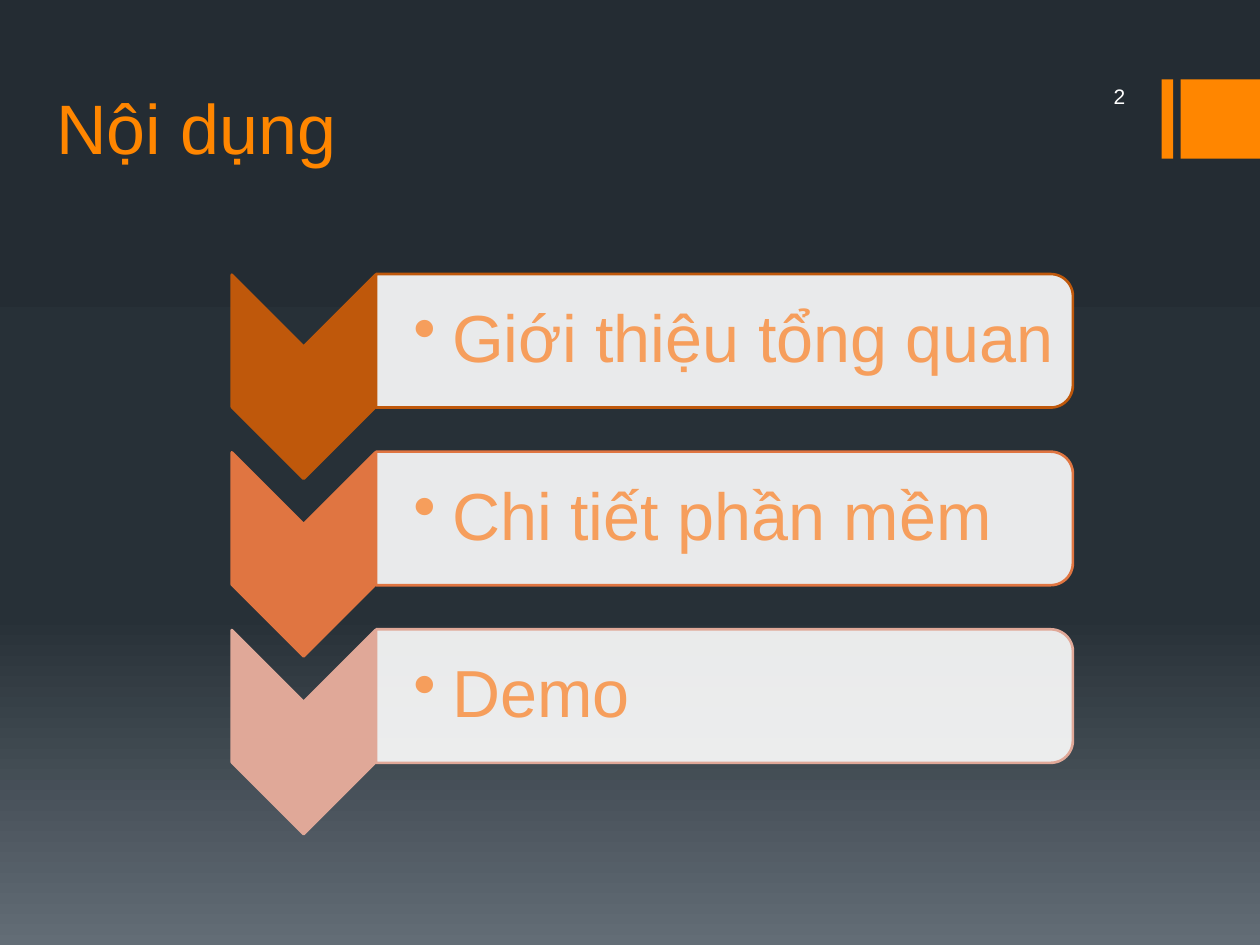
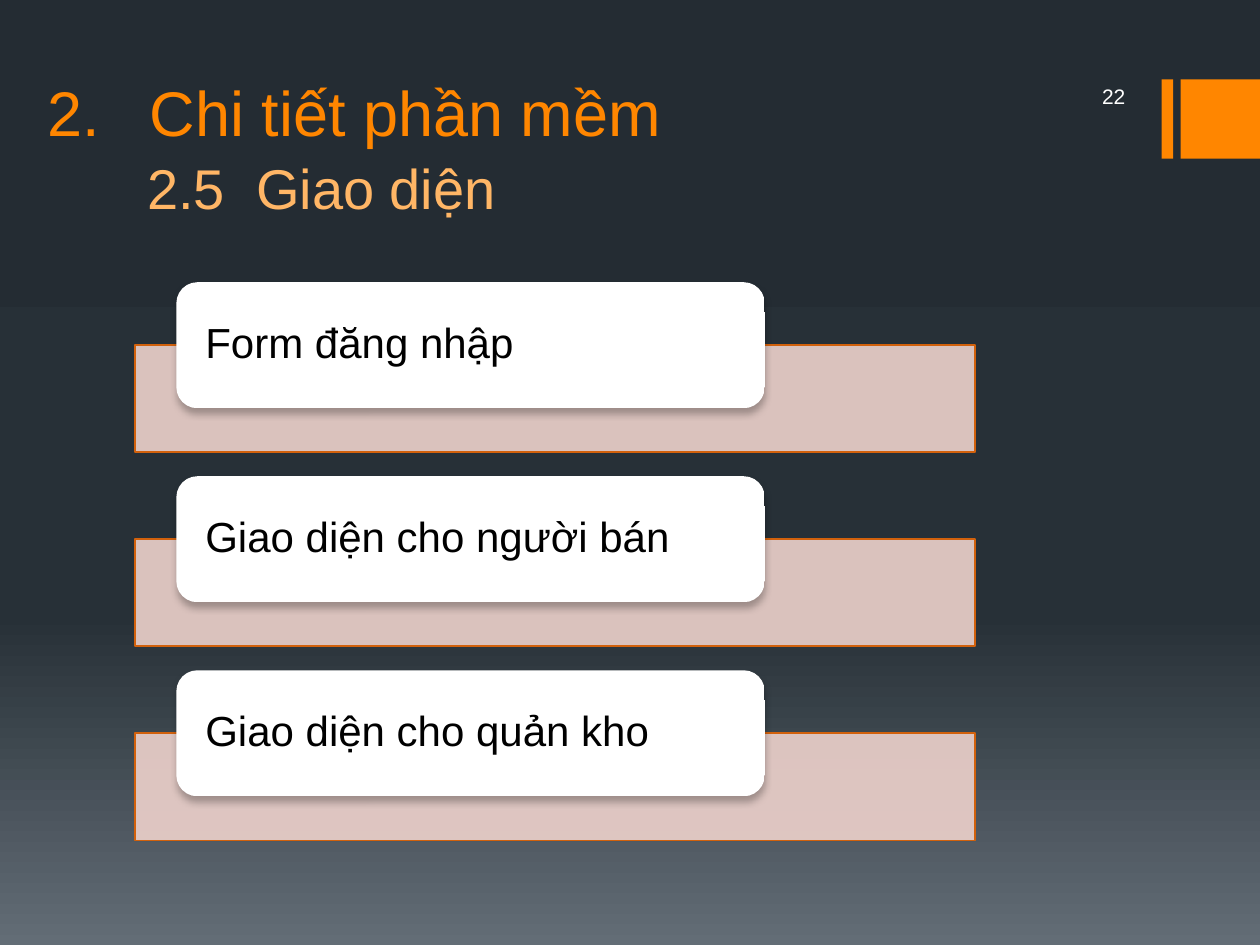
"""Build the contents slide and the interface slide of a software presentation."""
import copy

import pptx
import pptx.dml.color
import pptx.enum.shapes
import pptx.enum.text
import pptx.oxml
import pptx.oxml.ns
import pptx.util
from pptx.util import Inches

COLOURS = {
    "accent": "FF8600", "subtitle": "FFB666", "white": "FFFFFF", "black": "000000",
    "item": "F69E5C", "band": "EED2CC", "band_line": "D2610C", "card_end": "FCFCFC",
    "step_1": "BF580B", "step_2": "E07541", "step_3": "E0A898",
    "sky": "242C33", "horizon": "273037", "ground": "636D76",
}
RGB = {name: pptx.dml.color.RGBColor.from_string(value) for name, value in COLOURS.items()}
NAMESPACE = pptx.oxml.ns.nsdecls("a")
SHAPE = pptx.enum.shapes.MSO_SHAPE
ANCHOR = pptx.enum.text.MSO_ANCHOR
ALIGN = pptx.enum.text.PP_ALIGN


def add_text(slide, box, text, size, colour, anchor=ANCHOR.MIDDLE, align=ALIGN.LEFT,
             insets=(0.1, 0.05, 0.1, 0.05), spacing=1.0, indent=0, bullet=None):
    """Add a one-paragraph text box, with a hanging bullet if one is given."""
    frame = slide.shapes.add_textbox(*map(Inches, box)).text_frame
    frame.word_wrap = True
    frame.vertical_anchor = anchor
    frame.margin_left, frame.margin_top, frame.margin_right, frame.margin_bottom = map(Inches, insets)
    paragraph = frame.paragraphs[0]
    paragraph.text = text
    paragraph.alignment = align
    paragraph.line_spacing = spacing
    font = paragraph.runs[0].font
    font.name = "Arial"
    font.size = pptx.util.Pt(size)
    font.color.rgb = RGB[colour]
    if bullet:
        properties = paragraph._p.get_or_add_pPr()
        properties.set("marL", str(Inches(indent)))
        properties.set("indent", str(-Inches(indent)))
        properties.append(pptx.oxml.parse_xml(bullet))


def add_shape(slide, kind, box, fill, line=None, width=1, opacity=100, rotation=0):
    """Add a flat preset shape; opacity is a percentage."""
    shape = slide.shapes.add_shape(kind, *map(Inches, box))
    shape.shadow.inherit = False
    shape.rotation = rotation
    shape.fill.solid()
    shape.fill.fore_color.rgb = RGB[fill]
    if opacity < 100:
        colour = shape._element.spPr.find(pptx.oxml.ns.qn("a:solidFill"))[0]
        colour.append(pptx.oxml.parse_xml(f'<a:alpha {NAMESPACE} val="{opacity * 1000}"/>'))
    if line:
        shape.line.color.rgb = RGB[line]
        shape.line.width = pptx.util.Pt(width)
    else:
        shape.line.fill.background()
    return shape


deck = pptx.Presentation()
deck.slide_width, deck.slide_height = Inches(10), Inches(7.5)

backdrop = deck.slide_master.background.fill
backdrop.gradient()
backdrop.gradient_angle = 270
stop_list = deck.slide_master._element.find(".//" + pptx.oxml.ns.qn("a:gsLst"))
stop_list.insert(1, copy.deepcopy(stop_list[0]))
for stop, (position, colour) in zip(backdrop.gradient_stops,
                                    [(0, "sky"), (0.65, "horizon"), (1, "ground")]):
    stop.position = position
    stop.color.rgb = RGB[colour]

contents, interface = [deck.slides.add_slide(deck.slide_layouts[6]) for _ in range(2)]
for slide, number in [(contents, "2"), (interface, "22")]:
    for left, width in [(9.22, 0.09), (9.37, 0.63)]:
        add_shape(slide, SHAPE.RECTANGLE, (left, 0.63, width, 0.63), "accent")
    add_text(slide, (8, 0.6, 1.03, 0.33), number, 12, "white", align=ALIGN.RIGHT)

add_text(contents, (0.35, 0.44, 8, 0.95), "Nội dụng", 40, "accent", ANCHOR.BOTTOM)
dot = f'<a:buChar {NAMESPACE} char="•"/>'
for index, topic in enumerate(["Giới thiệu tổng quan", "Chi tiết phần mềm", "Demo"]):
    drop = 1.41 * index
    step = f"step_{index + 1}"
    add_shape(contents, SHAPE.CHEVRON, (1.6, 2.42 + drop, 1.62, 1.14), step, step, 1.5, rotation=90)
    add_shape(contents, SHAPE.ROUND_2_SAME_RECTANGLE, (5.22, -0.06 + drop, 1.06, 5.53),
              "white", step, 1.5, opacity=90, rotation=90)
    add_text(contents, (2.98, 2.23 + drop, 5.48, 0.95), topic, 38, "item",
             insets=(0.3, 0.03, 0.03, 0.03), spacing=0.9, indent=0.31, bullet=dot)

add_text(interface, (1.07, 1.04, 8, 0.76), "2.5\u00a0 Giao diện", 32, "subtitle", ANCHOR.BOTTOM)
add_text(interface, (0.28, 0.6, 8.98, 0.63), "Chi tiết phần mềm", 36, "accent", ANCHOR.BOTTOM,
         indent=0.81, bullet=f'<a:buAutoNum {NAMESPACE} type="arabicPeriod" startAt="2"/>')
card_shadow = (f'<a:outerShdw {NAMESPACE} blurRad="{pptx.util.Pt(4)}" dist="{pptx.util.Pt(3)}" '
               f'dir="5400000" rotWithShape="0"><a:srgbClr val="{COLOURS["black"]}">'
               '<a:alpha val="28000"/></a:srgbClr></a:outerShdw>')
for index, screen in enumerate(["Form đăng nhập", "Giao diện cho người bán", "Giao diện cho quản kho"]):
    drop = 1.54 * index
    add_shape(interface, SHAPE.RECTANGLE, (1.07, 2.74 + drop, 6.67, 0.85), "band", "band_line", opacity=90)
    card = add_shape(interface, SHAPE.ROUNDED_RECTANGLE, (1.4, 2.24 + drop, 4.67, 1), "white")
    card.fill.gradient()
    card.fill.gradient_angle = 270
    for stop, colour in zip(card.fill.gradient_stops, ["white", "card_end"]):
        stop.color.rgb = RGB[colour]
    effects = card._element.spPr.find(pptx.oxml.ns.qn("a:effectLst"))
    effects.append(pptx.oxml.parse_xml(card_shadow))
    add_text(interface, (1.45, 2.29 + drop, 4.57, 0.9), screen, 24, "black",
             insets=(0.18, 0, 0.18, 0), spacing=0.9)

deck.save("out.pptx")
